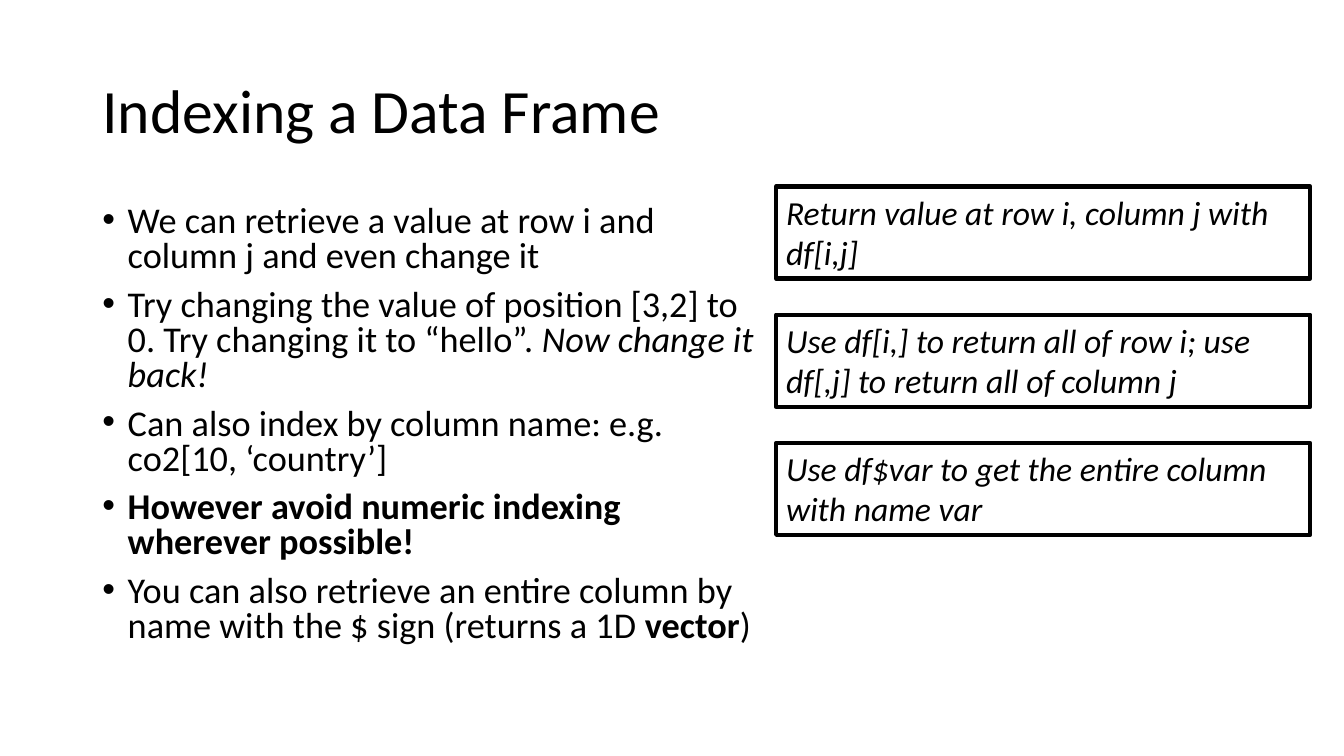
import pptx
import pptx.util
import pptx.dml.color
import pptx.enum.shapes
import pptx.enum.text
import pptx.oxml
import pptx.oxml.ns
from pptx.util import Cm, Pt

BLACK = pptx.dml.color.RGBColor(0x00, 0x00, 0x00)
WHITE = pptx.dml.color.RGBColor(0xFF, 0xFF, 0xFF)
FONT = "Calibri"

TITLE = "Indexing a Data Frame"
# Each bullet is a list of (text, style) runs.
BULLETS = [
    [("We can retrieve a value at row i and column j and even change it", "")],
    [("Try changing the value of position [3,2] to 0. "
      "Try changing it to “hello”. ", ""),
     ("Now change it back! ", "italic")],
    [("Can also index by column name: e.g. co2[10, ‘country’]", "")],
    [("However avoid numeric indexing wherever possible!", "bold")],
    [("You can also retrieve an entire column by name with the $ sign "
      "(returns a 1D ", ""), ("vector", "bold"), (")", "")],
]
TIPS = [
    "Return value at row i, column j with df[i,j] ",
    "Use df[i,] to return all of row i; use df[,j] to return all of column j",
    "Use df$var to get the entire column with name var",
]

TITLE_BOX = (Cm(2.33), Cm(1.01), Cm(29.21), Cm(3.68))
BULLET_BOX = (Cm(2.33), Cm(5.07), Cm(16.97), Cm(12.09))
TIP_LEFT, TIP_TOP, TIP_WIDTH, TIP_HEIGHT = Cm(19.56), Cm(4.7), Cm(13.46), Cm(2.32)
TIP_PITCH = Cm(3.23)
INDENT = Cm(0.64)


def set_font(paragraph, size):
    """Give a paragraph the slide's font, colour and the given size."""
    paragraph.font.name = FONT
    paragraph.font.size = Pt(size)
    paragraph.font.color.rgb = BLACK


def add_bullet_mark(paragraph):
    """Give a paragraph a round bullet with a hanging indent."""
    properties = paragraph._p.get_or_add_pPr()
    properties.set("marL", str(INDENT))
    properties.set("indent", str(-INDENT))
    namespace = pptx.oxml.ns.nsdecls("a")
    for xml in (f'<a:buFont {namespace} typeface="Arial"/>',
                f'<a:buChar {namespace} char="•"/>'):
        properties.insert_element_before(
            pptx.oxml.parse_xml(xml), "a:tabLst", "a:defRPr", "a:extLst")


def add_title(slide):
    """Place and format the title placeholder."""
    title = slide.shapes.title
    title.left, title.top, title.width, title.height = TITLE_BOX
    frame = title.text_frame
    frame.text = TITLE
    frame.auto_size = pptx.enum.text.MSO_AUTO_SIZE.NONE
    frame.vertical_anchor = pptx.enum.text.MSO_ANCHOR.MIDDLE
    paragraph = frame.paragraphs[0]
    paragraph.alignment = pptx.enum.text.PP_ALIGN.LEFT
    paragraph.line_spacing = 0.9
    set_font(paragraph, 44)


def add_bullets(slide):
    """Add the bulleted list on the left."""
    frame = slide.shapes.add_textbox(*BULLET_BOX).text_frame
    frame.word_wrap = True
    for index, runs in enumerate(BULLETS):
        paragraph = frame.add_paragraph() if index else frame.paragraphs[0]
        paragraph.line_spacing = 0.8
        paragraph.space_before = Pt(10 if index else 0)
        add_bullet_mark(paragraph)
        set_font(paragraph, 25.9)
        for text, style in runs:
            run = paragraph.add_run()
            run.text = text
            if style:
                setattr(run.font, style, True)


def add_tip(slide, text, top):
    """Add one outlined tip box on the right."""
    tip = slide.shapes.add_shape(
        pptx.enum.shapes.MSO_SHAPE.RECTANGLE, TIP_LEFT, top, TIP_WIDTH, TIP_HEIGHT)
    tip.shadow.inherit = False
    tip.fill.solid()
    tip.fill.fore_color.rgb = WHITE
    tip.line.color.rgb = BLACK
    tip.line.width = Pt(3)
    frame = tip.text_frame
    frame.text = text
    frame.word_wrap = True
    frame.auto_size = pptx.enum.text.MSO_AUTO_SIZE.SHAPE_TO_FIT_TEXT
    frame.vertical_anchor = pptx.enum.text.MSO_ANCHOR.TOP
    paragraph = frame.paragraphs[0]
    paragraph.alignment = pptx.enum.text.PP_ALIGN.LEFT
    set_font(paragraph, 24)
    paragraph.font.italic = True


presentation = pptx.Presentation()
presentation.slide_width, presentation.slide_height = Cm(33.87), Cm(19.05)
slide = presentation.slides.add_slide(
    presentation.slide_layouts.get_by_name("Title Only"))
add_title(slide)
add_bullets(slide)
for row, tip_text in enumerate(TIPS):
    add_tip(slide, tip_text, TIP_TOP + row * TIP_PITCH)
presentation.save("out.pptx")
